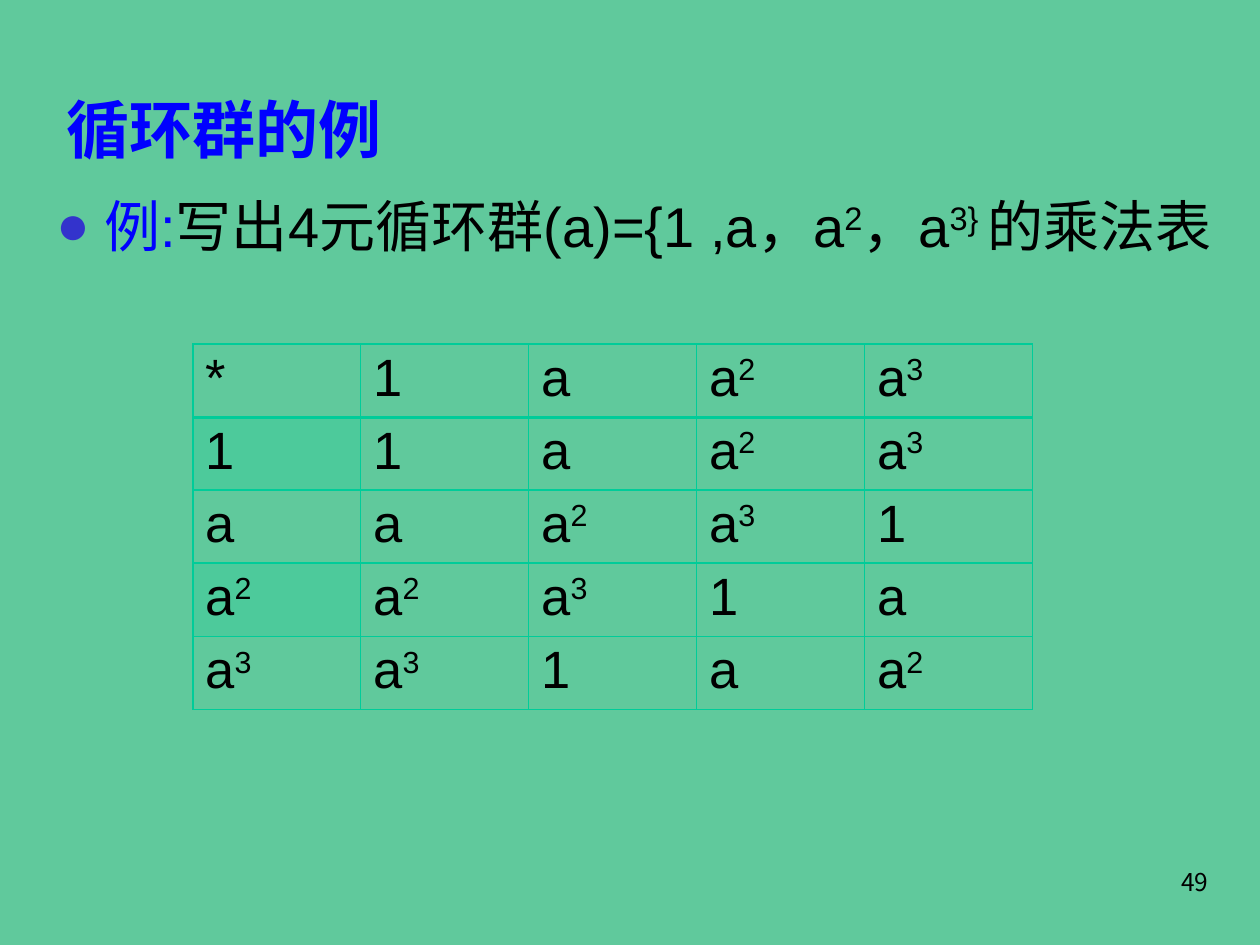
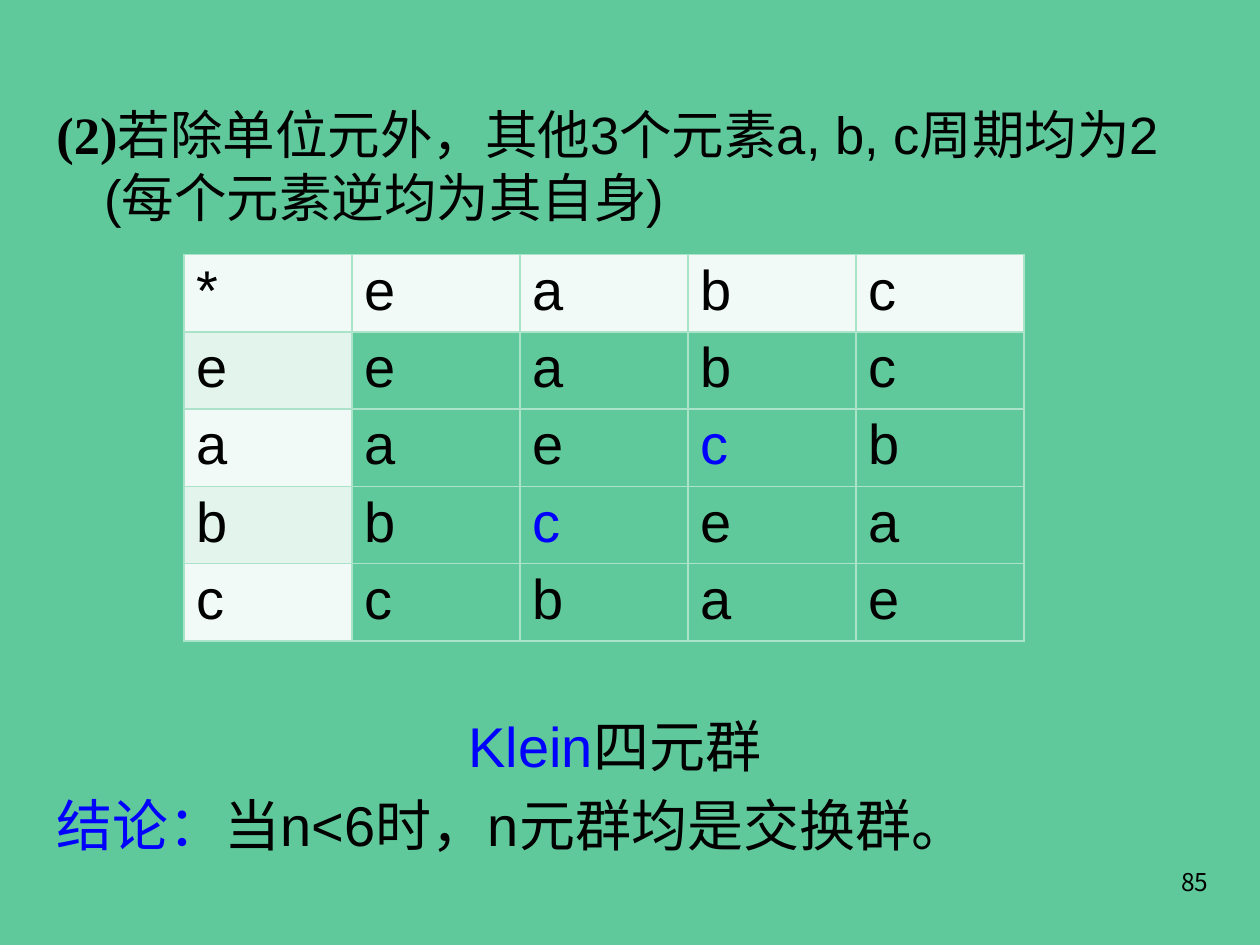
from lxml import etree
from pptx import Presentation
from pptx.dml.color import RGBColor
from pptx.enum.text import MSO_ANCHOR, PP_ALIGN
from pptx.oxml.ns import qn
from pptx.util import Inches, Pt

TOP, MIDDLE = MSO_ANCHOR.TOP, MSO_ANCHOR.MIDDLE
LEFT, CENTER, RIGHT = PP_ALIGN.LEFT, PP_ALIGN.CENTER, PP_ALIGN.RIGHT

COLORS = {
    "page": "60C99C",
    "text": "000000",
    "accent": "0000FF",
    "bullet": "3333CC",
    "cyclic_line": "00CC99",
    "cyclic_band": "4DCA9B",
    "klein_line": "AAE2CA",
    "klein_head": "F1FAF6",
    "klein_band": "E2F4EC",
}
BODY_FONT, TITLE_FONT, NUMBER_FONT = "Arial", "Times New Roman", "Noto Sans CJK KR"
SLIDE_WIDTH, SLIDE_HEIGHT = 10, 7.5
BODY_LEFT = 0.35
HANGING = 0.38
COLUMN_WIDTH = SLIDE_WIDTH / 7.5
GROUP_ORDER = 4


def rgb(name):
    return RGBColor.from_string(COLORS[name])


def add_run(paragraph, text, size=32, font=BODY_FONT, color="text", bold=False,
            superscript=False):
    run = paragraph.add_run()
    run.text = text
    run.font.size = Pt(size)
    run.font.name = font
    run.font.bold = bold
    run.font.color.rgb = rgb(color)
    if superscript:
        run.font._element.set("baseline", "30000")


def set_hanging_indent(paragraph, bullet):
    properties = paragraph._p.get_or_add_pPr()
    properties.set("marL", str(Inches(HANGING)))
    properties.set("indent", str(-Inches(HANGING)))
    if bullet:
        color = etree.SubElement(properties, qn("a:buClr"))
        etree.SubElement(color, qn("a:srgbClr"), val=COLORS["bullet"])
        etree.SubElement(properties, qn("a:buFont"), typeface=BODY_FONT)
        etree.SubElement(properties, qn("a:buChar"), char=bullet)


def add_text(slide, box, *paragraphs, anchor=TOP, alignments=(LEFT,), hanging=False,
             bullet=None, space_before=6.4):
    """Each paragraph is a list of (text, run format) pairs."""
    shape = slide.shapes.add_textbox(*map(Inches, box))
    frame = shape.text_frame
    frame.word_wrap = True
    frame.vertical_anchor = anchor
    for index, (runs, alignment) in enumerate(zip(paragraphs, alignments)):
        paragraph = frame.add_paragraph() if index else frame.paragraphs[0]
        if hanging:
            set_hanging_indent(paragraph, bullet)
        paragraph.alignment = alignment
        if index:
            paragraph.space_before = Pt(space_before)
        for text, style in runs:
            add_run(paragraph, text, **style)


def set_borders(cell, color, widths):
    """Widths are in points, in the order left, right, top, bottom."""
    properties = cell._tc.get_or_add_tcPr()
    for index, (side, width) in enumerate(zip("LRTB", widths)):
        line = etree.Element(qn(f"a:ln{side}"), w=str(Pt(width)))
        fill = etree.SubElement(line, qn("a:solidFill"))
        etree.SubElement(fill, qn("a:srgbClr"), val=COLORS[color])
        properties.insert(index, line)


def add_group_table(slide, left, top, row_height, names, product, size, line,
                    head, band, head_rule=1, marked=()):
    """Multiplication table of a group whose elements are numbered from 0."""
    count = GROUP_ORDER + 1
    table = slide.shapes.add_table(
        count, count, Inches(left), Inches(top),
        Inches(count * COLUMN_WIDTH), Inches(count * row_height)).table
    table.first_row = table.horz_banding = False
    elements = range(GROUP_ORDER)
    grid = [["*", *names]]
    grid += [[names[i]] + [names[product(i, j)] for j in elements] for i in elements]
    for row, texts in enumerate(grid):
        for column, text in enumerate(texts):
            cell = table.cell(row, column)
            cell.margin_top = cell.margin_bottom = Inches(0.04)
            cell.fill.solid()
            if row == 0 or column == 0:
                cell.fill.fore_color.rgb = rgb(band if row % 2 else head)
            else:
                cell.fill.fore_color.rgb = rgb("page")
            set_borders(cell, line, (1, 1, head_rule if row == 1 else 1,
                                     head_rule if row == 0 else 1))
            color = "accent" if (row, column) in marked else "text"
            paragraph = cell.text_frame.paragraphs[0]
            base, exponent = text[:1], text[1:]
            add_run(paragraph, base, size=size, color=color)
            if exponent:
                add_run(paragraph, exponent, size=size, color=color, superscript=True)


def add_slide(presentation, number):
    slide = presentation.slides.add_slide(presentation.slide_layouts[6])
    slide.background.fill.solid()
    slide.background.fill.fore_color.rgb = rgb("page")
    add_text(slide, (7.61, 6.83, 2.08, 0.5),
             [(str(number), {"size": 14, "font": NUMBER_FONT})], alignments=(RIGHT,))
    return slide


def add_cyclic_group_slide(presentation):
    slide = add_slide(presentation, 49)
    add_text(slide, (0.43, 0.6, 8.5, 0.83),
             [("循环群的例", {"size": 36, "font": TITLE_FONT, "color": "accent", "bold": True})],
             anchor=MIDDLE)
    raised = {"superscript": True}
    add_text(slide, (BODY_LEFT, 1.47, 9.53, 1.2),
             [("例:", {"color": "accent"}), ("写出4元循环群(a)={1 ,a，a", {}), ("2", raised),
              ("，a", {}), ("3} ", raised), ("的乘法表", {})],
             hanging=True, bullet="●")
    add_group_table(slide, 1.53, 2.73, 0.565, ["1", "a", "a2", "a3"],
                    lambda i, j: (i + j) % GROUP_ORDER, size=30, line="cyclic_line",
                    head="page", band="cyclic_band", head_rule=2)


def add_klein_group_slide(presentation):
    slide = add_slide(presentation, 85)
    add_text(slide, (BODY_LEFT, 0.76, 9.06, 1.2),
             [("(2)", {"size": 30, "font": TITLE_FONT, "bold": True}),
              ("若除单位元外，其他3个元素a, b, c周期均为2 (每个元素逆均为其自身)", {"size": 30})],
             hanging=True)
    add_group_table(slide, 1.46, 2.02, 0.6, ["e", "a", "b", "c"],
                    lambda i, j: i ^ j, size=32, line="klein_line",
                    head="klein_head", band="klein_band", marked={(2, 3), (3, 2)})
    add_text(slide, (BODY_LEFT, 5.6, 9.06, 1.3),
             [("Klein", {"color": "accent"}), ("四元群", {})],
             [("结论：", {"color": "accent"}), ("当n<6时，n元群均是交换群。", {})],
             alignments=(CENTER, LEFT), hanging=True)


def main():
    presentation = Presentation()
    presentation.slide_width = Inches(SLIDE_WIDTH)
    presentation.slide_height = Inches(SLIDE_HEIGHT)
    add_cyclic_group_slide(presentation)
    add_klein_group_slide(presentation)
    presentation.save("out.pptx")


if __name__ == "__main__":
    main()
